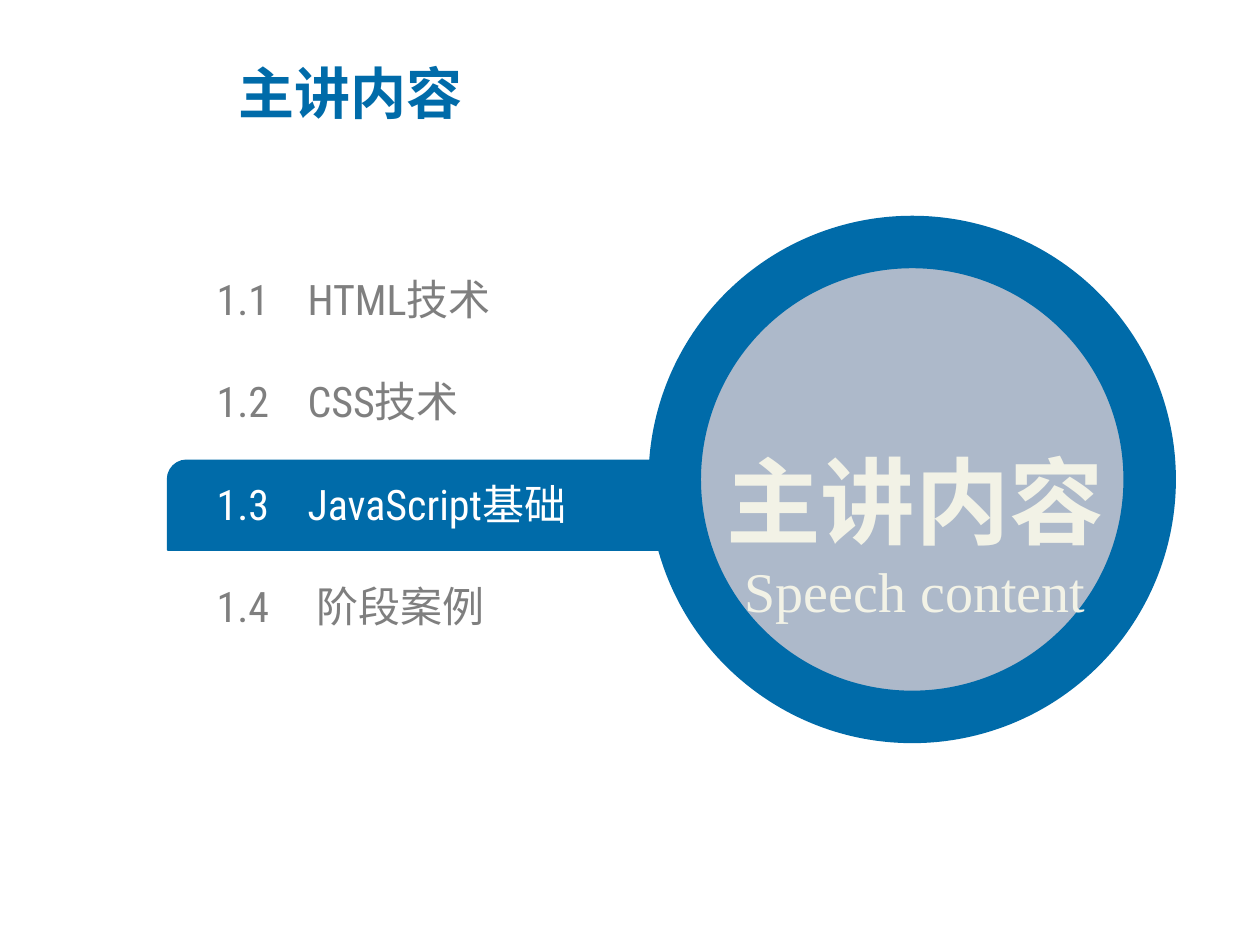
import pptx
import pptx.util
import pptx.dml.color
import pptx.enum.shapes
import pptx.enum.text
import pptx.oxml
import pptx.oxml.ns

Pt = pptx.util.Pt
RGB = pptx.dml.color.RGBColor
Kind = pptx.enum.shapes.MSO_SHAPE
Align = pptx.enum.text.PP_ALIGN
Mid = pptx.enum.text.MSO_ANCHOR.MIDDLE
Top = pptx.enum.text.MSO_ANCHOR.TOP

BLUE = RGB(0x00, 0x6B, 0xA9)
STEEL = RGB(0xAD, 0xB9, 0xCA)
GRAY = RGB(0x7F, 0x7F, 0x7F)
CREAM = RGB(0xF2, 0xF2, 0xE6)
WHITE = RGB(0xFF, 0xFF, 0xFF)
HAN = "Noto Sans CJK SC"


class Deck:
    """Holds the style and the current slide."""

    def __init__(self, show):
        self.slide = show.slides.add_slide(show.slide_layouts[1])
        self.shapes = self.slide.shapes

    def place(self, shape, box):
        for name, value in zip(("left", "top", "width", "height"), box):
            setattr(shape, name, Pt(value))

    def frame(self, shape, anchor, inset=None):
        frame = shape.text_frame
        look = {"word_wrap": True, "vertical_anchor": anchor,
                "auto_size": pptx.enum.text.MSO_AUTO_SIZE.NONE}
        if inset is not None:
            for side in ("left", "top", "right", "bottom"):
                look["margin_" + side] = Pt(inset)
        for name, value in look.items():
            setattr(frame, name, value)
        return frame

    def line(self, frame, first, text, size, color, face=HAN, bold=False,
             align=Align.LEFT, lead=1.0, hang=None):
        para = frame.paragraphs[0] if first else frame.add_paragraph()
        if hang:
            self.hang(para, hang)
        for name, value in {"alignment": align, "line_spacing": lead,
                            "space_before": Pt(0)}.items():
            setattr(para, name, value)
        run = para.add_run()
        run.text = text
        run.font.color.rgb = color
        for name, value in {"size": Pt(size), "bold": bold, "name": face}.items():
            setattr(run.font, name, value)
        # East Asian typeface
        tag = pptx.oxml.ns.qn("a:ea")
        run.font._element.append(
            run.font._element.makeelement(tag, {"typeface": HAN}))

    def hang(self, para, width):
        """Hanging indent: the tab after the number ends at the indent."""
        props = para._p.get_or_add_pPr()
        props.set("marL", str(Pt(width)))
        props.set("indent", str(-Pt(width)))
        space = pptx.oxml.ns.nsdecls("a")
        props.append(pptx.oxml.parse_xml(f"<a:buNone {space}/>"))

    def title(self, text, box):
        shape = self.shapes.title
        self.place(shape, box)
        self.line(self.frame(shape, Mid), True, text, 32, BLUE, bold=True)

    def items(self, rows, box, active, pitch):
        shape = self.slide.placeholders[1]
        self.place(shape, box)
        frame = self.frame(shape, Top, 0)
        for i, (text, hang) in enumerate(rows):
            self.line(frame, i == 0, f"1.{i + 1}\t{text}", 24,
                      WHITE if i == active else GRAY, "Roboto Condensed",
                      lead=Pt(pitch), hang=hang)

    def shape(self, kind, box, fill, edge, width):
        shape = self.shapes.add_shape(kind, *map(Pt, box))
        shape.shadow.inherit = False
        shape.fill.solid()
        shape.fill.fore_color.rgb = fill
        shape.line.color.rgb = edge
        shape.line.width = Pt(width)
        return shape

    def label(self, box):
        return self.frame(self.shapes.add_textbox(*map(Pt, box)), Mid)


def main():
    show = pptx.Presentation()
    show.slide_width, show.slide_height = Pt(720), Pt(540)
    deck = Deck(show)

    # Title
    deck.title("主讲内容", (129, 30.5, 389.5, 44))

    # Bar behind the current topic, below the list
    bar = deck.shape(Kind.ROUND_2_DIAG_RECTANGLE, (95.8, 263.1, 354.2, 51.1),
                     BLUE, BLUE, 1)
    bar.adjustments[0], bar.adjustments[1] = 0.21, 0
    deck.shapes._spTree.insert(2, bar._element)

    # Topics
    pitch = 58.6
    rows = [("HTML技术", 52), ("CSS技术", 52), ("JavaScript基础", 52),
            ("阶段案例", 57)]
    deck.items(rows, (123.8, 126.4, 264.2, pitch * len(rows)), 2, pitch)

    # Round emblem with its caption
    deck.shape(Kind.OVAL, (385.6, 138.3, 271.4, 271.4), STEEL, BLUE, 30)
    frame = deck.label((382.6, 216.7, 280.8, 144))
    deck.line(frame, True, "主讲内容", 54, CREAM, bold=True,
              align=Align.CENTER, lead=1.5)
    deck.line(frame, False, "Speech content", 32, CREAM, "Times New Roman",
              align=Align.CENTER)

    show.save("out.pptx")


if __name__ == "__main__":
    main()
